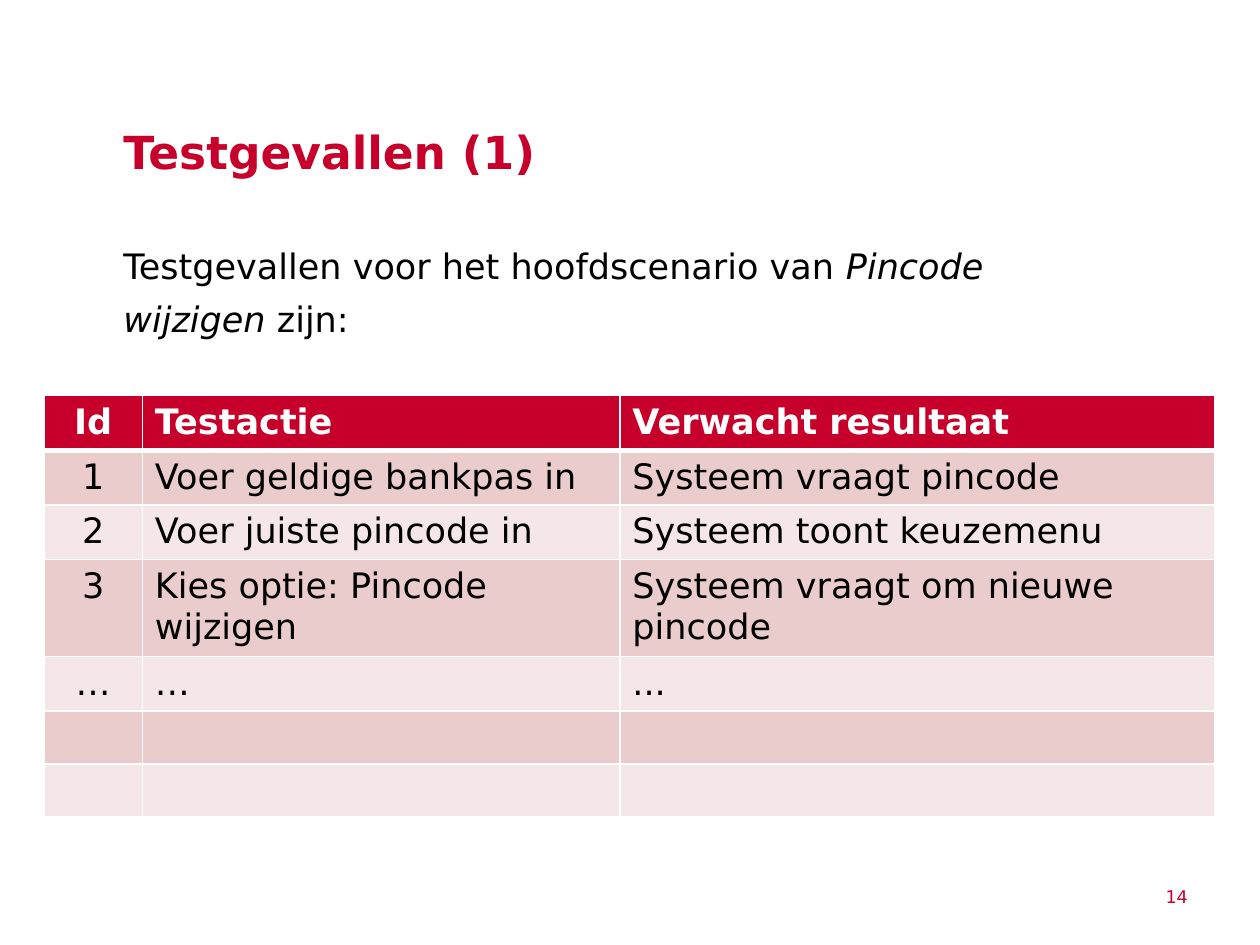
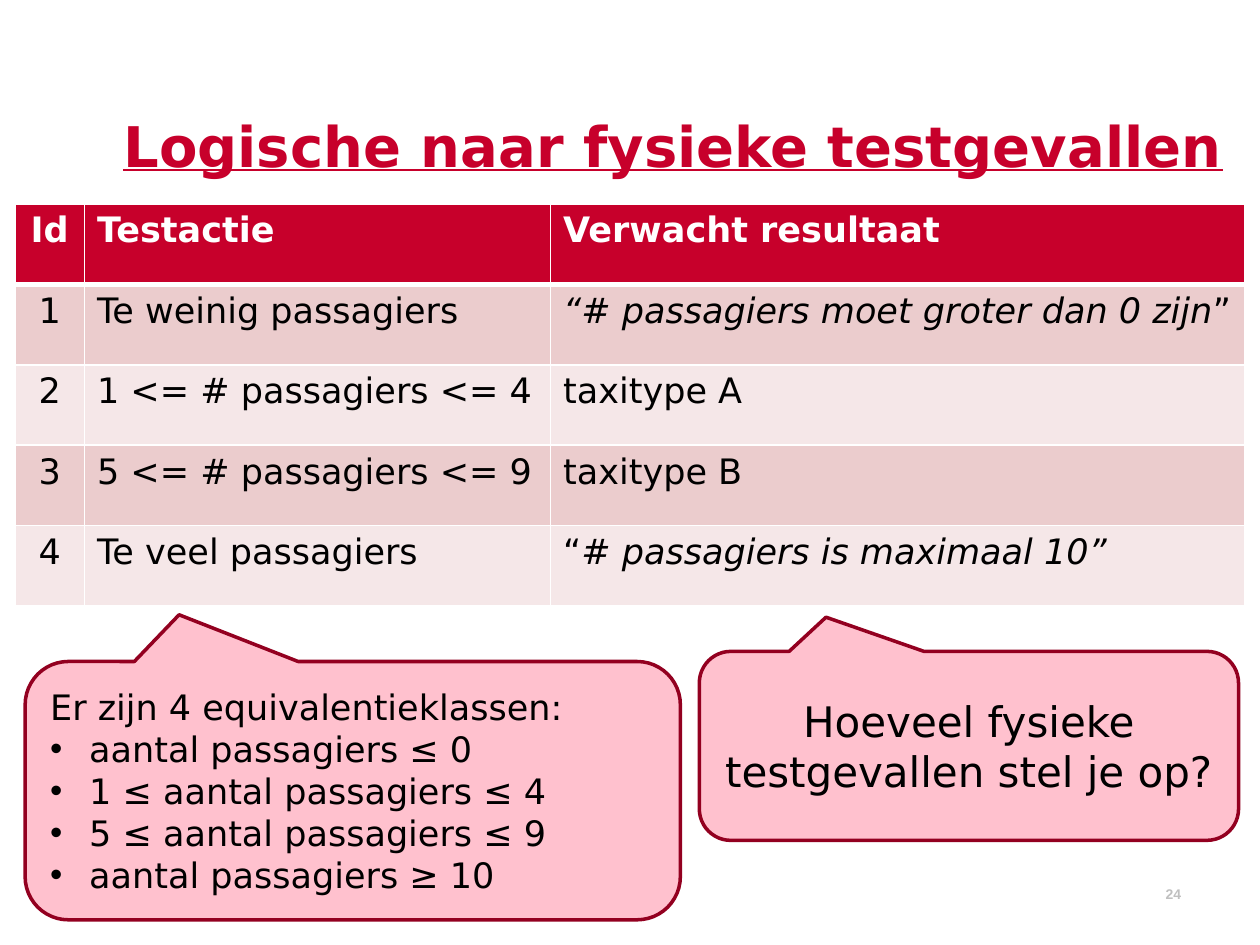
from lxml import etree
from pptx import Presentation
from pptx import util as u
from pptx.dml.color import RGBColor
from pptx.enum import shapes, text
from pptx.oxml.ns import qn

COLORS = {
    "red": "C7002B", "dark_red": "930020", "pink": "FFC1CE",
    "band_dark": "EBCCCD", "band_light": "F5E7E8",
    "black": "000000", "white": "FFFFFF", "grey": "C0C0C0",
}
FONT = "DejaVu Sans"
COLUMNS, ROWS = 100, 75
LEFT = text.PP_ALIGN.LEFT
CENTER = text.PP_ALIGN.CENTER
HEADER = ("Id", "Testactie", "Verwacht resultaat")


class Deck:
    def __init__(self):
        self.prs = Presentation()
        self.prs.slide_width, self.prs.slide_height = u.Inches(10), u.Inches(7.5)
        self.s = None

    def x(self, columns):
        return round(self.prs.slide_width * columns / COLUMNS)

    def y(self, rows):
        return round(self.prs.slide_height * rows / ROWS)

    def box(self, left, top, width, height):
        return self.x(left), self.y(top), self.x(width), self.y(height)

    def color(self, name):
        return RGBColor.from_string(COLORS[name])

    def slide(self, title, number, width=80.3, size=26, underline=None, number_style=None):
        self.s = self.prs.slides.add_slide(self.prs.slide_layouts[6])
        p = self.textbox((9.8, 10.3, width, 3.9), title, size=size, color="red",
                         bold=True, underline=underline)
        p.line_spacing = u.Pt(28)
        self.textbox((92.5, 70.3, 7.9, 2), number,
                     **(number_style or {"size": 10, "color": "red"}))

    def add_runs(self, p, content, size=20, color="black", bold=False, underline=None,
                 font=FONT, align=LEFT):
        p.alignment = align
        for i, part in enumerate(content.split("*")):
            if part:
                r = p.add_run()
                r.text = part
                r.font.name, r.font.size = font, u.Pt(size)
                r.font.bold, r.font.italic = bold, i % 2 == 1
                r.font.underline = underline
                r.font.color.rgb = self.color(color)

    def textbox(self, box, content, **style):
        tf = self.s.shapes.add_textbox(*self.box(*box)).text_frame
        tf.word_wrap = True
        tf.margin_left = tf.margin_top = tf.margin_right = tf.margin_bottom = 0
        p = tf.paragraphs[0]
        self.add_runs(p, content, **style)
        return p

    def bullet(self, p):
        pPr = p._p.get_or_add_pPr()
        indent = u.Inches(0.31)
        pPr.set("marL", str(indent))
        pPr.set("indent", str(-indent))
        etree.SubElement(pPr, qn("a:buFont"), typeface="Arial")
        etree.SubElement(pPr, qn("a:buChar"), char="•")

    def callout(self, box, lines, **style):
        sp = self.s.shapes.add_shape(
            shapes.MSO_SHAPE.ROUNDED_RECTANGULAR_CALLOUT, *self.box(*box))
        for i, value in enumerate((-0.265, -0.681, 0.167)):
            sp.adjustments[i] = value
        sp.shadow.inherit = False
        sp.fill.solid()
        sp.fill.fore_color.rgb = self.color("pink")
        sp.line.color.rgb = self.color("dark_red")
        sp.line.width = u.Pt(2)
        tf = sp.text_frame
        tf.word_wrap = True
        tf.vertical_anchor = text.MSO_ANCHOR.MIDDLE
        for i, line in enumerate(lines):
            p = tf.add_paragraph() if i else tf.paragraphs[0]
            self.add_runs(p, line, **style)
            if i:
                self.bullet(p)

    def borders(self, cell, row):
        tcPr = cell._tc.get_or_add_tcPr()
        thick = {0: "lnB", 1: "lnT"}.get(row)
        for i, side in enumerate(("lnL", "lnR", "lnT", "lnB")):
            ln = etree.Element(qn(f"a:{side}"), w=str(u.Pt(3 if side == thick else 1)))
            fill = etree.SubElement(ln, qn("a:solidFill"))
            etree.SubElement(fill, qn("a:srgbClr"), val=COLORS["white"])
            tcPr.insert(i, ln)

    def table(self, left, top, widths, row_height, body):
        records = (HEADER, *body)
        tbl = self.s.shapes.add_table(
            len(records), len(widths),
            *self.box(left, top, sum(widths), row_height * len(records))).table
        for column, width in zip(tbl.columns, widths):
            column.width = self.x(width)
        for i, record in enumerate(records):
            tbl.rows[i].height = self.y(row_height)
            band = "band_dark" if i % 2 else "band_light"
            for j, content in enumerate(record):
                cell = tbl.cell(i, j)
                cell.fill.solid()
                cell.fill.fore_color.rgb = self.color(band if i else "red")
                self.borders(cell, i)
                self.add_runs(cell.text_frame.paragraphs[0], content, bold=i == 0,
                              color="black" if i else "white", align=LEFT if j else CENTER)


def main():
    deck = Deck()

    deck.slide("Testgevallen (1)", "14")
    intro = deck.textbox((9.8, 18.6, 80.3, 50.4),
                         "Testgevallen voor het hoofdscenario van *Pincode wijzigen* zijn:")
    intro.line_spacing = 1.25
    deck.table(3.5, 31.4, (7.8, 37.9, 47.2), 4.2, (
        ("1", "Voer geldige bankpas in", "Systeem vraagt pincode"),
        ("2", "Voer juiste pincode in", "Systeem toont keuzemenu"),
        ("3", "Kies optie: Pincode wijzigen", "Systeem vraagt om nieuwe pincode"),
        ("…", "…", "..."),
        ("", "", ""),
        ("", "", ""),
    ))

    deck.slide("Logische naar fysieke testgevallen", "24", width=90.2, size=32, underline=True,
               number_style={"size": 8, "color": "grey", "bold": True, "font": "Arial"})
    deck.callout((55.5, 51.7, 42.8, 15), ("Hoeveel fysieke testgevallen stel je op?",),
                 size=24, align=CENTER)
    deck.callout((2, 52.5, 52, 20.5), (
        "Er zijn 4 equivalentieklassen:",
        "aantal passagiers ≤ 0",
        "1 ≤ aantal passagiers ≤ 4",
        "5 ≤ aantal passagiers ≤ 9",
        "aantal passagiers ≥ 10",
    ))
    deck.table(1.2, 16.2, (5.5, 37, 55.1), 6.38, (
        ("1", "Te weinig passagiers", "*“# passagiers moet groter dan 0 zijn*”"),
        ("2", "1 <= # passagiers <= 4", "taxitype A"),
        ("3", "5 <= # passagiers <= 9", "taxitype B"),
        ("4", "Te veel passagiers", "“*# passagiers is maximaal 10”*"),
    ))

    deck.prs.save("out.pptx")


if __name__ == "__main__":
    main()
